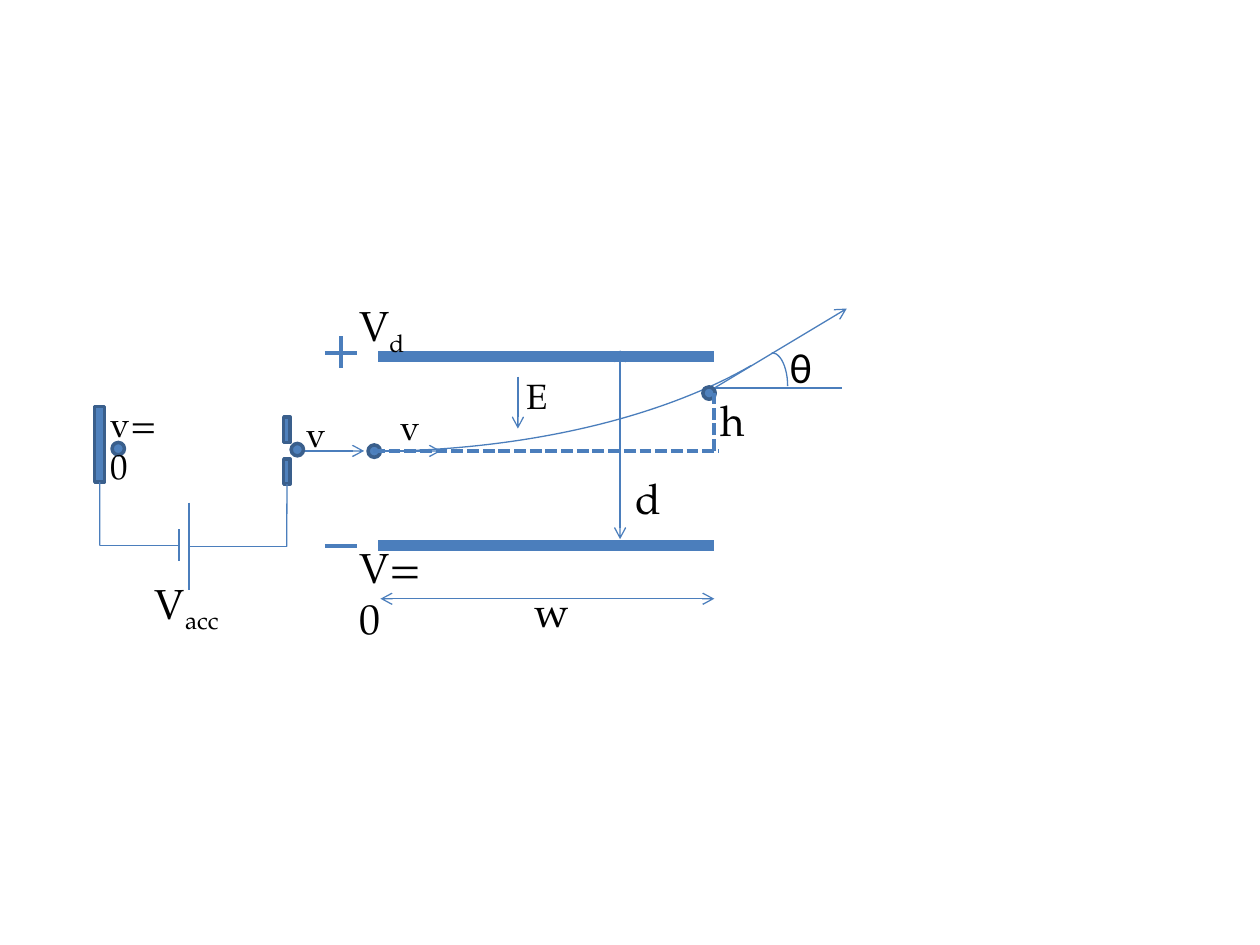
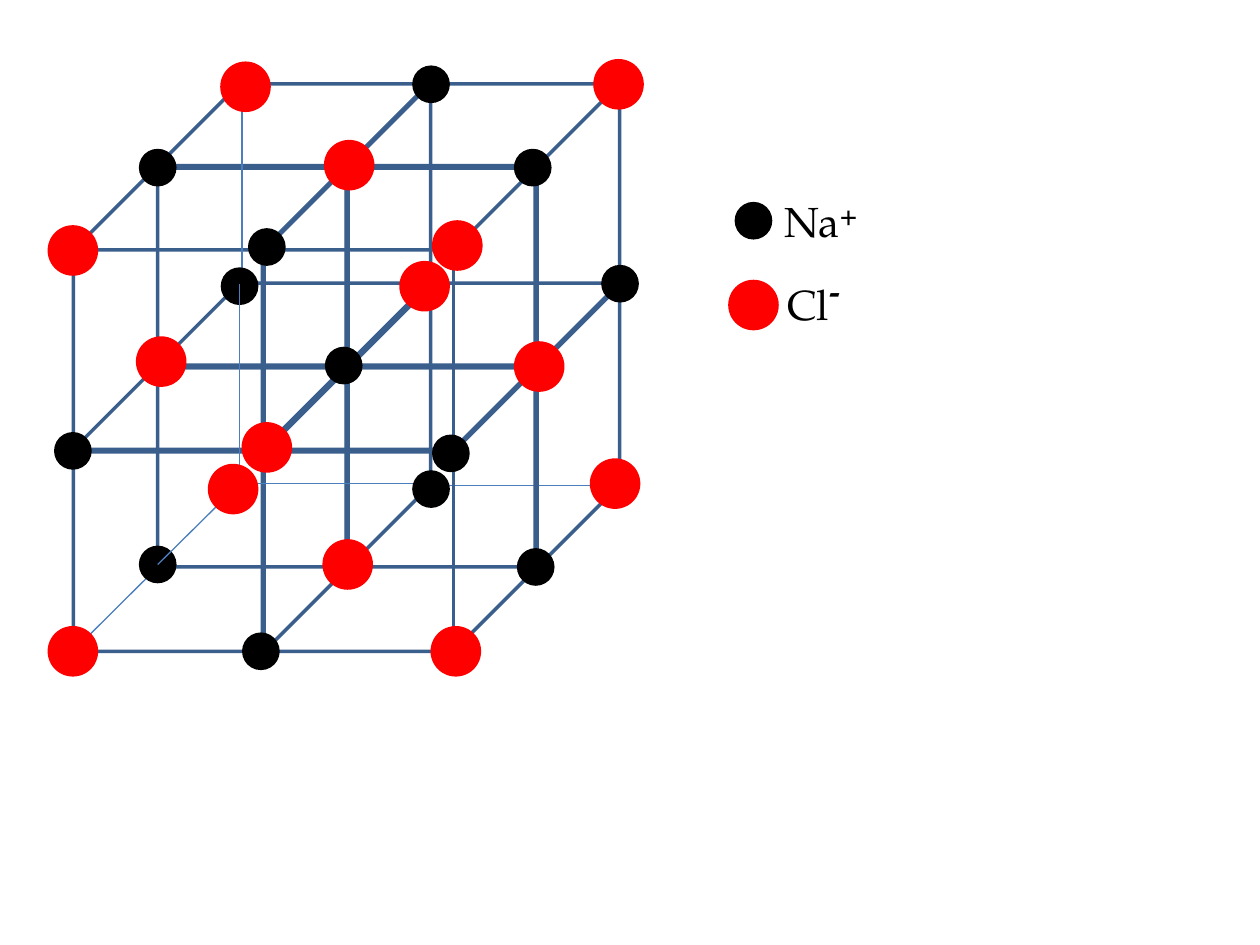
from dataclasses import dataclass
from typing import Any

import pptx
import pptx.dml.color
import pptx.enum.dml
import pptx.enum.shapes
import pptx.enum.text
import pptx.oxml
import pptx.oxml.ns
import pptx.util

Cm = pptx.util.Cm
Kind = pptx.enum.shapes.MSO_SHAPE

COLOURS = {
    "line": "4B7EBC",
    "fill": "4F81BD",
    "outline": "3A5F8C",
    "text": "000000",
    "sodium": "000000",
    "chloride": "FF0000",
}
SERIF, SANS = "TeX Gyre Pagella", "Calibri"
THIN, MEDIUM, THICK = 0.75, 2.25, 6
OUTLINE = 2
DOT = 0.25


@dataclass(frozen=True)
class Stroke:
    x1: float
    y1: float
    x2: float
    y2: float
    weight: float = THIN
    ends: tuple[str, ...] = ()
    dashed: bool = False


@dataclass(frozen=True)
class Figure:
    kind: Any
    left: float
    top: float
    width: float
    height: float
    fill: str | None = None
    outline: str | None = None
    weight: float = OUTLINE
    adjust: tuple[float, ...] = ()


@dataclass(frozen=True)
class Span:
    text: str
    size: float = 24
    baseline: int = 0
    bold: bool = False
    font: str = SERIF


@dataclass(frozen=True)
class Label:
    left: float
    top: float
    width: float
    height: float
    spans: tuple[Span, ...]
    wrap: bool = False


@dataclass(frozen=True)
class Ion:
    colour: str
    diameter: float
    centres: tuple[tuple[float, float], ...]


def colour(name: str) -> pptx.dml.color.RGBColor:
    return pptx.dml.color.RGBColor.from_string(COLOURS[name])


def draw_stroke(page: Any, stroke: Stroke) -> Any:
    line = page.shapes.add_connector(
        pptx.enum.shapes.MSO_CONNECTOR.STRAIGHT,
        Cm(stroke.x1), Cm(stroke.y1), Cm(stroke.x2), Cm(stroke.y2))
    line.line.color.rgb = colour("line")
    line.line.width = pptx.util.Pt(stroke.weight)
    if stroke.dashed:
        line.line.dash_style = pptx.enum.dml.MSO_LINE.SQUARE_DOT
    properties = line.line._get_or_add_ln()
    for end in stroke.ends:
        arrow = pptx.oxml.parse_xml(
            f'<a:{end} {pptx.oxml.ns.nsdecls("a")} type="arrow"/>')
        properties.append(arrow)
    line._element.spPr.append(pptx.oxml.parse_xml(
        f'<a:effectLst {pptx.oxml.ns.nsdecls("a")}/>'))
    return line


def draw_figure(page: Any, figure: Figure) -> Any:
    shape = page.shapes.add_shape(
        figure.kind, Cm(figure.left), Cm(figure.top),
        Cm(figure.width), Cm(figure.height))
    shape.shadow.inherit = False
    for index, value in enumerate(figure.adjust):
        shape.adjustments[index] = value
    if figure.fill:
        shape.fill.solid()
        shape.fill.fore_color.rgb = colour(figure.fill)
    else:
        shape.fill.background()
    if figure.outline:
        shape.line.color.rgb = colour(figure.outline)
        shape.line.width = pptx.util.Pt(figure.weight)
    else:
        shape.line.fill.background()
    return shape


def draw_label(page: Any, label: Label) -> None:
    box = page.shapes.add_textbox(
        Cm(label.left), Cm(label.top), Cm(label.width), Cm(label.height))
    box.text_frame.word_wrap = label.wrap
    box.text_frame.auto_size = pptx.enum.text.MSO_AUTO_SIZE.SHAPE_TO_FIT_TEXT
    para = box.text_frame.paragraphs[0]
    for part in label.spans:
        span = para.add_run()
        span.text = part.text
        formats = {"name": part.font, "size": pptx.util.Pt(part.size),
                   "bold": part.bold}
        for name, value in formats.items():
            setattr(span.font, name, value)
        span.font.color.rgb = colour("text")
        if part.baseline:
            span._r.get_or_add_rPr().set("baseline", str(part.baseline * 1000))


def draw_ions(page: Any, ion: Ion) -> None:
    for x, y in ion.centres:
        draw_figure(page, Figure(
            Kind.OVAL, x - ion.diameter / 2, y - ion.diameter / 2,
            ion.diameter, ion.diameter, ion.colour))


# Electron deflection
AXIS, PLATE_LEFT, PLATE_RIGHT = 9.09, 7.62, 14.4
UPPER, LOWER = 7.19, 11
TO, BOTH = ("tailEnd",), ("headEnd", "tailEnd")

DEFLECTION_STROKES = (
    # Charged plates and their signs
    Stroke(PLATE_LEFT, UPPER, PLATE_RIGHT, UPPER, THICK),
    Stroke(PLATE_LEFT, LOWER, PLATE_RIGHT, LOWER, THICK),
    Stroke(6.88, 6.78, 6.88, 7.42, MEDIUM),
    Stroke(6.55, 7.11, 7.19, 7.11, MEDIUM),
    Stroke(6.55, LOWER, 7.19, LOWER, MEDIUM),
    # Velocities, exit direction and field
    Stroke(6.07, AXIS, 7.34, AXIS, ends=TO),
    Stroke(PLATE_LEFT, AXIS, 8.89, AXIS, ends=TO),
    Stroke(14.27, 7.9, 17.07, 6.22, ends=TO),
    Stroke(14.17, 7.82, 16.97, 7.82),
    Stroke(10.44, 7.59, 10.44, 8.64, ends=TO),
    # Dimensions
    Stroke(7.67, 12.07, PLATE_RIGHT, 12.07, ends=BOTH),
    Stroke(12.5, 10.87, 12.5, 7.06, ends=BOTH),
    # Battery circuit
    Stroke(2.01, LOWER, 3.61, LOWER),
    Stroke(3.61, 10.67, 3.61, 11.3),
    Stroke(3.81, 10.13, 3.81, 11.89),
    Stroke(3.81, 11.02, 5.78, 11.02),
)
ELECTRODES = tuple(
    Figure(Kind.RECTANGLE, *place, "fill", "outline")
    for place in ((1.91, 8.2, 0.2, 1.52), (5.72, 8.41, 0.13, 0.51),
                  (5.72, 9.25, 0.13, 0.51)))
ARCS = (
    Figure(Kind.ARC, 15.24, 7.11, 0.64, 1.35, None, "line", THIN),
    Figure(Kind.ARC, -2.54, -0.48, 19.99, 9.58, None, "line", THIN,
           (13.03, 54)),
)
ELECTRONS = tuple(
    Figure(Kind.OVAL, left, top, DOT, DOT, "fill", "outline")
    for left, top in ((7.42, 8.97), (14.17, 7.8), (2.26, 8.92), (5.87, 8.94)))
DASHES = (
    Stroke(7.52, AXIS, 14.48, AXIS, MEDIUM, dashed=True),
    Stroke(PLATE_RIGHT, AXIS, PLATE_RIGHT, 7.92, MEDIUM, dashed=True),
)
DEFLECTION_LABELS = (
    Label(15.67, 6.76, 0.97, 1.27, (Span("θ", font=SANS),)),
    Label(10.52, 11.68, 1.22, 1.27, (Span("w"),)),
    Label(7.82, 8.05, 0.91, 1.12, (Span("v", 20),)),
    Label(10.36, 7.42, 0.94, 1.12, (Span("E", 20),)),
    Label(12.57, 9.4, 1.04, 1.27, (Span("d"),)),
    Label(6.99, 5.92, 1.47, 1.27, (Span("V"), Span("d", baseline=-25))),
    Label(6.99, 10.8, 2.08, 1.27, (Span("V=0"),), True),
    Label(2.87, 11.51, 1.93, 1.27, (Span("V"), Span("acc", baseline=-25))),
    Label(1.98, 7.98, 1.7, 1.12, (Span("v=0", 20),), True),
    Label(14.27, 7.82, 0.74, 1.27, (Span("h"),), True),
    Label(5.92, 8.2, 0.91, 1.12, (Span("v", 20),)),
)


def build_deflection(page: Any) -> None:
    for stroke in DEFLECTION_STROKES:
        draw_stroke(page, stroke)
    cathode, _, anode = [draw_figure(page, item) for item in ELECTRODES]
    for electrode, x, top, bottom in ((cathode, 2.01, 9.72, LOWER),
                                      (anode, 5.78, 9.76, 11.02)):
        wire = draw_stroke(page, Stroke(x, top, x, bottom))
        wire.begin_connect(electrode, 2)
    for figure in ARCS + ELECTRONS:
        draw_figure(page, figure)
    for dash in DASHES:
        draw_stroke(page, dash)
    for label in DEFLECTION_LABELS:
        draw_label(page, label)


# Salt crystal
CUBE_WIDTH, CUBE_HEIGHT, CUBE_DEPTH = 5.5, 5.72, 0.3
COLUMN_STEP, ROW_STEP, BACK_STEP = 3.81, 4.02, 1.7
SODIUM, CHLORIDE = 0.76, 1.02

HIDDEN_EDGES = (
    Stroke(4.88, 1.7, 4.88, 5.72),
    Stroke(3.18, 11.43, 1.47, 13.13),
)
INNER_EDGES = (
    Stroke(4.83, 5.72, 4.83, 9.73),
    Stroke(4.88, 9.7, 3.18, 11.38),
    Stroke(4.83, 9.75, 8.69, 9.75),
)
LATTICE_IONS = (
    Ion("sodium", SODIUM, (
        (6.93, 7.37), (12.5, 5.72), (10.8, 11.43), (3.18, 11.38),
        (5.26, 13.13), (1.47, 9.09), (3.18, 3.38), (8.69, 1.7),
        (10.74, 3.38), (5.38, 4.98), (9.09, 9.14), (4.83, 5.77))),
    Ion("chloride", CHLORIDE, (
        (7.04, 3.33), (5.38, 9.02), (7.01, 11.38), (10.87, 7.39),
        (8.56, 5.77), (3.25, 7.29), (9.22, 4.95), (4.95, 1.75),
        (12.47, 1.7), (12.4, 9.75), (9.19, 13.13), (1.47, 13.13),
        (1.47, 5.05))),
)
# The last rear ions, each followed by its key entry
REAR_AND_KEY_IONS = (
    Ion("sodium", SODIUM, ((8.69, 9.86), (15.19, 4.45))),
    Ion("chloride", CHLORIDE, ((4.7, 9.86), (15.19, 6.15))),
)
KEY_LABELS = (
    Label(15.57, 3.81, 2.01, 1.27,
          (Span("Na"), Span("+", baseline=30, bold=True))),
    Label(15.62, 5.21, 1.63, 1.63,
          (Span("Cl"), Span("-", 32, 30, True))),
)


def build_crystal(page: Any) -> None:
    draw_stroke(page, Stroke(8.71, 9.78, 12.57, 9.78))
    for back in (1, 0):
        for row in (1, 0):
            for column in (0, 1):
                draw_figure(page, Figure(
                    Kind.CUBE,
                    1.48 + column * COLUMN_STEP + back * BACK_STEP,
                    3.39 + row * ROW_STEP - back * BACK_STEP,
                    CUBE_WIDTH, CUBE_HEIGHT, None, "outline",
                    adjust=(CUBE_DEPTH,)))
    for edge in HIDDEN_EDGES:
        draw_stroke(page, edge)
    for ion in LATTICE_IONS:
        draw_ions(page, ion)
    for edge in INNER_EDGES:
        draw_stroke(page, edge)
    for ion in REAR_AND_KEY_IONS:
        draw_ions(page, ion)
    for label in KEY_LABELS:
        draw_label(page, label)


def main() -> None:
    deck = pptx.Presentation()
    deck.slide_width, deck.slide_height = Cm(25.4), Cm(19.05)
    blank = deck.slide_layouts[6]
    for build in (build_deflection, build_crystal):
        build(deck.slides.add_slide(blank))
    deck.save("out.pptx")


if __name__ == "__main__":
    main()
